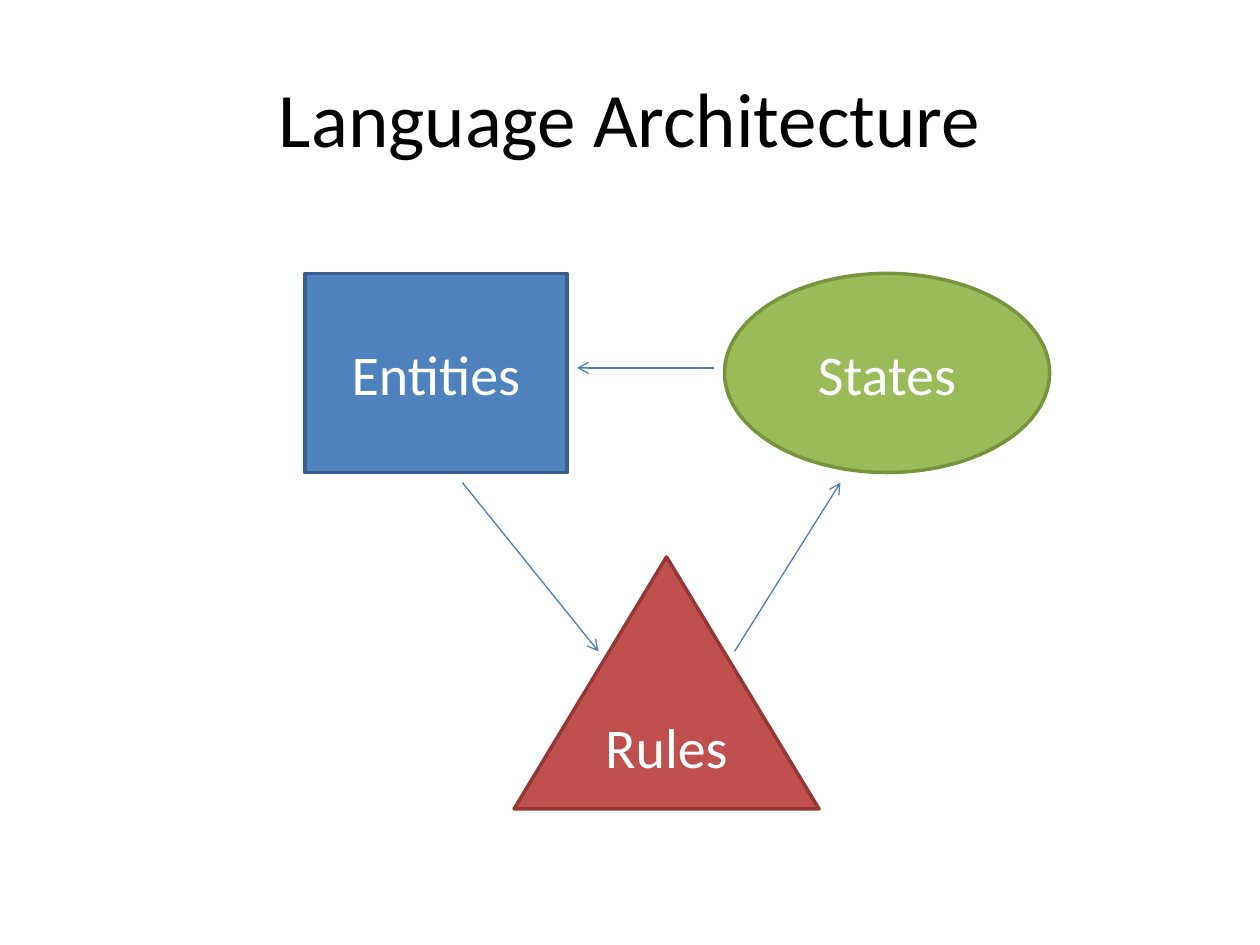
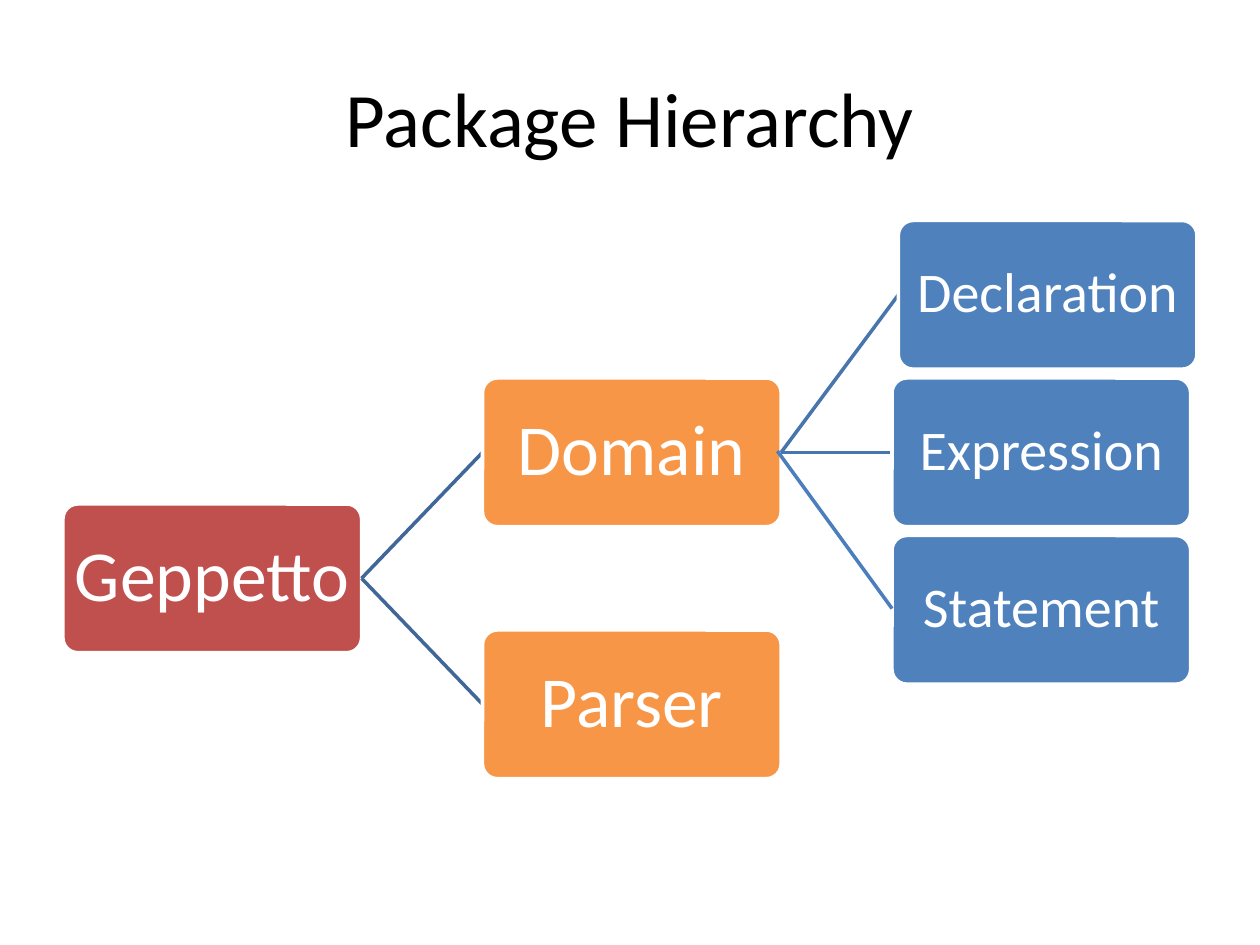
from dataclasses import dataclass

from lxml import etree
from pptx import Presentation
from pptx import util as u
from pptx.dml.color import RGBColor
from pptx.enum import shapes, text
from pptx.oxml.ns import qn


@dataclass(frozen=True)
class Theme:
    font: str = "Calibri"
    black: str = "000000"
    white: str = "FFFFFF"
    blue: str = "4F81BD"
    blue_edge: str = "3A5F8C"
    green: str = "9BBB59"
    green_edge: str = "77933C"
    red: str = "C0504D"
    red_edge: str = "953735"
    orange: str = "F79646"
    arrow: str = "4B7EBC"
    first_link: str = "3F6797"
    second_link: str = "4875AC"
    title_size: int = 44
    large_size: int = 41
    label_size: int = 32
    thick: float = 2
    thin: float = 0.75


THEME = Theme()
SHAPE = shapes.MSO_SHAPE
BOX_WIDTH, BOX_HEIGHT = 2.37, 1.18


def color(value):
    return RGBColor.from_string(value)


def write(shape, wording, size, font_color):
    """Put one centred line of text in a shape and return its paragraph."""
    frame = shape.text_frame
    frame.text = wording
    frame.word_wrap = True
    frame.vertical_anchor = text.MSO_ANCHOR.MIDDLE
    paragraph = frame.paragraphs[0]
    paragraph.alignment = text.PP_ALIGN.CENTER
    font = paragraph.runs[0].font
    font.name, font.size = THEME.font, u.Pt(size)
    font.color.rgb = color(font_color)
    return paragraph


def add_titled_slide(presentation, title):
    slide = presentation.slides.add_slide(presentation.slide_layouts[5])
    placeholder = slide.shapes.title
    placeholder.left, placeholder.top = u.Inches(0.5), u.Inches(0.3)
    placeholder.width, placeholder.height = u.Inches(9), u.Inches(1.25)
    write(placeholder, title, THEME.title_size, THEME.black)
    return slide


def add_filled_shape(slide, kind, place, fill, edge):
    shape = slide.shapes.add_shape(kind, *map(u.Inches, place))
    shape.shadow.inherit = False
    shape.fill.solid()
    shape.fill.fore_color.rgb = color(fill)
    shape.line.color.rgb = color(edge)
    shape.line.width = u.Pt(THEME.thick)
    return shape


def add_concept(slide, kind, wording, place, fill, edge):
    shape = add_filled_shape(slide, kind, place, fill, edge)
    write(shape, wording, THEME.label_size, THEME.white)


def add_package(slide, wording, left, top, fill, size):
    place = (left, top, BOX_WIDTH, BOX_HEIGHT)
    box = add_filled_shape(slide, SHAPE.ROUNDED_RECTANGLE, place, fill, THEME.white)
    box.adjustments[0] = 0.1
    frame = box.text_frame
    frame.margin_left = frame.margin_right = u.Inches(0.03)
    frame.margin_top = frame.margin_bottom = u.Inches(0.03)
    write(box, wording, size, THEME.white).line_spacing = 0.9


def add_line(slide, start, end, line_color, width, arrow=False):
    line = slide.shapes.add_connector(
        shapes.MSO_CONNECTOR.STRAIGHT, *map(u.Inches, (*start, *end)))
    line.line.color.rgb = color(line_color)
    line.line.width = u.Pt(width)
    if arrow:
        etree.SubElement(line.line._get_or_add_ln(), qn("a:tailEnd"), type="arrow")
    etree.SubElement(line._element.spPr, qn("a:effectLst"))


def add_branch(slide, parent, child, link_color):
    """Link the right edge of a parent box to the left edge of a child box."""
    start = (parent[0] + BOX_WIDTH, parent[1] + BOX_HEIGHT / 2)
    end = (child[0], child[1] + BOX_HEIGHT / 2)
    add_line(slide, start, end, link_color, THEME.thick)


def build_architecture(presentation):
    slide = add_titled_slide(presentation, "Language Architecture")
    add_concept(slide, SHAPE.RECTANGLE, "Entities", (2.42, 2.17, 2.08, 1.58),
                THEME.blue, THEME.blue_edge)
    add_concept(slide, SHAPE.OVAL, "States", (5.75, 2.17, 2.58, 1.58),
                THEME.green, THEME.green_edge)
    add_concept(slide, SHAPE.ISOSCELES_TRIANGLE, "Rules", (4.08, 4.42, 2.42, 2),
                THEME.red, THEME.red_edge)
    for start, end in (((3.67, 3.83), (4.75, 5.17)),
                       ((5.83, 5.17), (6.67, 3.83)),
                       ((5.67, 2.92), (4.58, 2.92))):
        add_line(slide, start, end, THEME.arrow, THEME.thin, arrow=True)


def build_hierarchy(presentation):
    slide = add_titled_slide(presentation, "Package Hierarchy")
    root, domain, parser = (0.5, 4), (3.83, 3), (3.83, 5)
    add_package(slide, "Geppetto", *root, THEME.red, THEME.large_size)
    for wording, spot in (("Domain", domain), ("Parser", parser)):
        add_branch(slide, root, spot, THEME.first_link)
        add_package(slide, wording, *spot, THEME.orange, THEME.large_size)
    for wording, spot in (("Declaration", (7.13, 1.75)), ("Expression", (7.08, 3))):
        add_branch(slide, domain, spot, THEME.second_link)
        add_package(slide, wording, *spot, THEME.blue, THEME.label_size)
    add_package(slide, "Statement", 7.08, 4.25, THEME.blue, THEME.label_size)
    add_line(slide, (6.17, 3.58), (7.08, 4.83), THEME.arrow, THEME.thick)


def main():
    presentation = Presentation()
    presentation.slide_width = u.Inches(10)
    presentation.slide_height = u.Inches(7.5)
    build_architecture(presentation)
    build_hierarchy(presentation)
    presentation.save("out.pptx")


if __name__ == "__main__":
    main()
